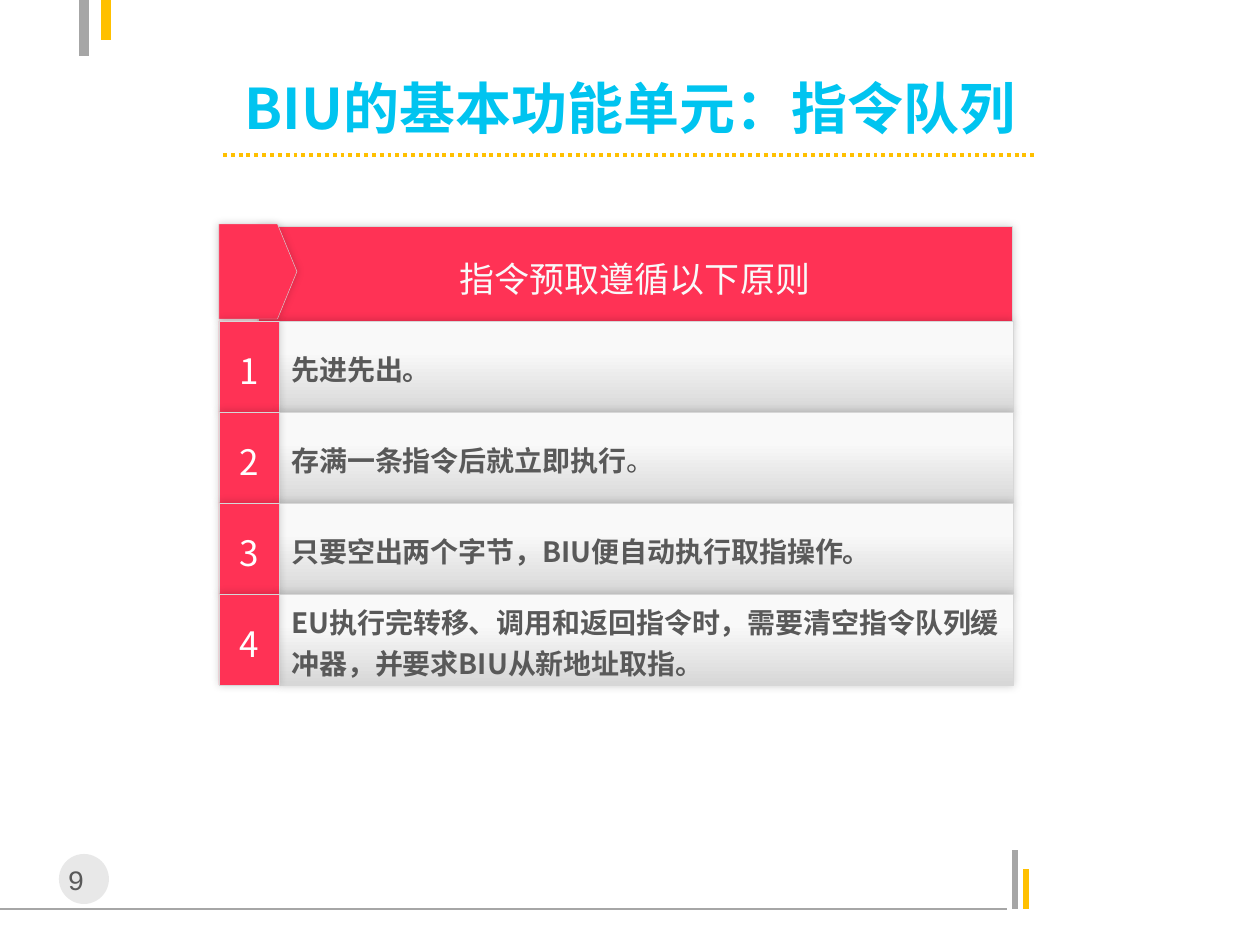
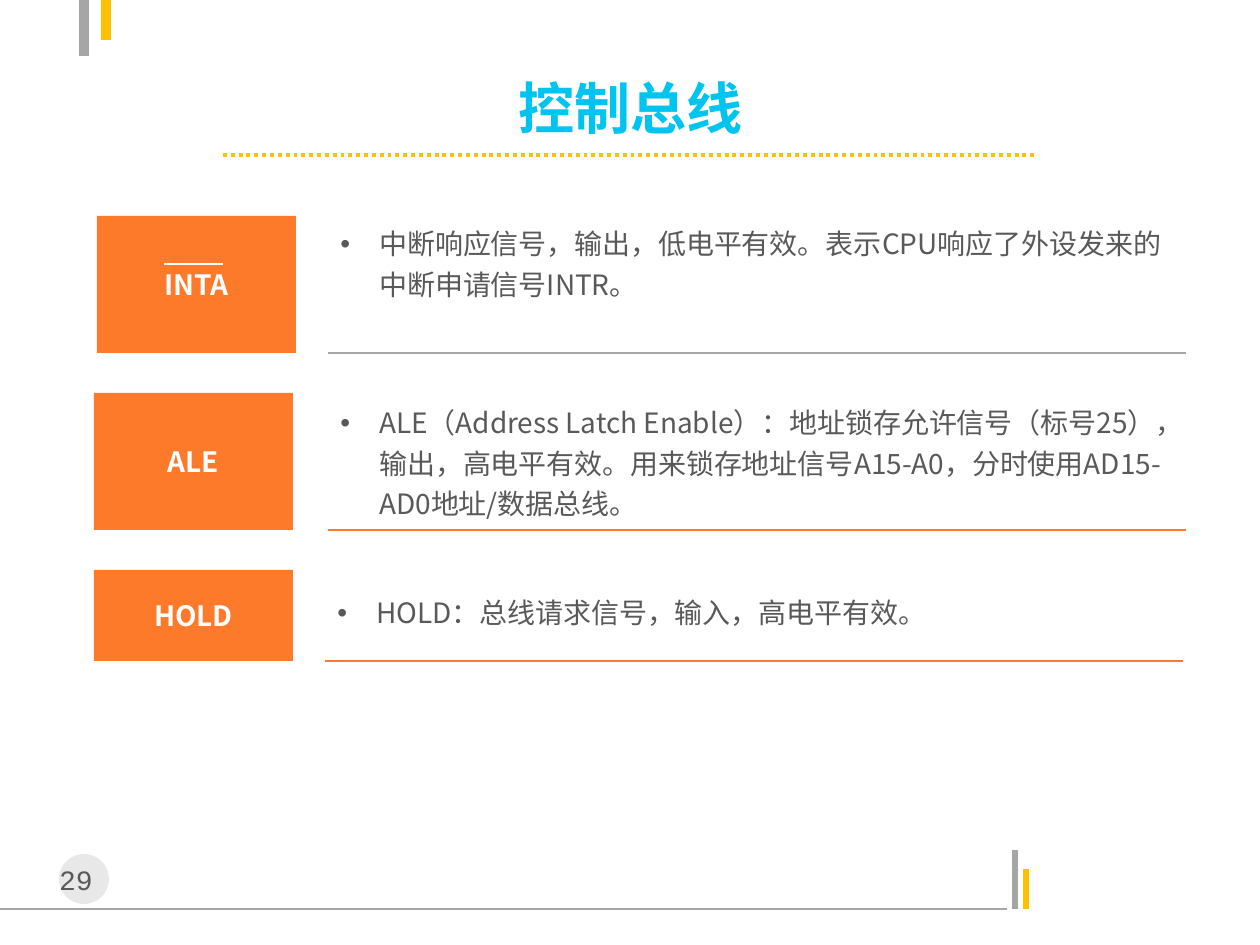
from lxml.etree import SubElement
from pptx import Presentation
from pptx.dml.color import RGBColor
from pptx.enum.dml import MSO_LINE
from pptx.enum.shapes import MSO_CONNECTOR, MSO_SHAPE
from pptx.enum.text import MSO_ANCHOR, MSO_AUTO_SIZE, PP_ALIGN
from pptx.oxml.ns import qn
from pptx.util import Pt

PX = 914400 / 126
FONT = "Noto Sans CJK SC"
COLORS = dict(title="00C4F0", gold="FFC000", grey="A6A6A6", badge="BFBFBF", text="595959",
              stop="4D4D4D", red="FF3255", orange="FD7A2A", pale="F9F9F9", edge="D7D7D7",
              white="FFFFFF", black="000000")

QUEUE = dict(
    title="BIU的基本功能单元：指令队列", page="9", head="指令预取遵循以下原则",
    rules=[[("先进先出。", True)],
           [("存满一条指令后就立即执行", True), ("。", False)],
           [("只要空出两个字节，BIU便自动执行取指操作。", True)],
           [("EU执行完转移、调用和返回指令时，需要清空指令队列缓冲器，并要求BIU从新地址取指。", True)]])
BUS = dict(
    title="控制总线", page="29",
    signals=[
        dict(name="INTA", x=97, y=216, h=137, line="grey", text_x=328, text_y=214,
             text="中断响应信号，输出，低电平有效。表示CPU响应了外设发来的中断申请信号INTR。"),
        dict(name="ALE", x=94, y=393, h=137, line="orange", text_x=328, text_y=393,
             text="ALE（Address Latch Enable）：地址锁存允许信号（标号25），输出，高电平有效。"
                  "用来锁存地址信号A15-A0，分时使用AD15-AD0地址/数据总线。"),
        dict(name="HOLD", x=94, y=570, h=91, line="orange", text_x=325, text_y=583,
             text="HOLD：总线请求信号，输入，高电平有效。")])
FRAME_LINES = [((0, 909, 1007, 909), "grey", 0.75), ((1015, 909, 1015, 850), "grey", 3),
               ((1026, 909, 1026, 869), "gold", 3), ((84, 56, 84, -4), "grey", 6),
               ((106, 0, 106, 40), "gold", 6)]


def rgb(name):
    return RGBColor.from_string(COLORS[name])


def emu(*lengths):
    return [round(n * PX) for n in lengths]


def apply(obj, **fmt):
    for key, value in fmt.items():
        setattr(obj, key, value)


def add_line(s, ends, color, width, dash=None):
    ln = s.shapes.add_connector(MSO_CONNECTOR.STRAIGHT, *emu(*ends))
    ln.line.color.rgb = rgb(color)
    apply(ln.line, width=Pt(width), dash_style=dash)
    SubElement(ln._element.spPr, qn("a:effectLst"))


def add_box(s, box, fill, kind=MSO_SHAPE.RECTANGLE, raised=False):
    sp = s.shapes.add_shape(kind, *emu(*box))
    sp.shadow.inherit = False
    if isinstance(fill, tuple):
        sp.fill.gradient()
        sp.fill.gradient_angle = 270
        for stop, (position, color) in zip(sp.fill.gradient_stops, fill):
            stop.position = position
            stop.color.rgb = rgb(color)
    else:
        sp.fill.solid()
        sp.fill.fore_color.rgb = rgb(fill)
    if raised:
        sp.line.color.rgb = rgb("edge")
        sp.line.width = Pt(0.25)
        effects = sp._element.spPr.find(qn("a:effectLst"))
        shadow = SubElement(effects, qn("a:outerShdw"), blurRad=str(Pt(5)), dist="0",
                            dir="0", algn="ctr", rotWithShape="0")
        add_alpha(SubElement(shadow, qn("a:srgbClr"), val=COLORS["black"]), 20)
    else:
        sp.line.fill.background()
    return sp


def add_alpha(color, percent):
    SubElement(color, qn("a:alpha"), val=str(percent * 1000))


def write(sp, runs, size, color, align=PP_ALIGN.CENTER, spacing=None, bullet=False,
          font=FONT, anchor=MSO_ANCHOR.MIDDLE, wrap=True):
    tf = sp.text_frame
    apply(tf, word_wrap=wrap, vertical_anchor=anchor, auto_size=MSO_AUTO_SIZE.NONE)
    p = tf.paragraphs[0]
    apply(p, alignment=align, line_spacing=spacing)
    if bullet:
        pPr = p._p.get_or_add_pPr()
        indent = emu(39)[0]
        apply_xml = dict(marL=indent, indent=-indent)
        for key, value in apply_xml.items():
            pPr.set(key, str(value))
        SubElement(pPr, qn("a:buFont"), typeface="Arial")
        SubElement(pPr, qn("a:buChar"), char="•")
    for text, bold in runs:
        r = p.add_run()
        r.text = text
        apply(r.font, name=font, size=Pt(size), bold=bold)
        r.font.color.rgb = rgb(color if bold or len(runs) == 1 else "stop")
        SubElement(r._r.get_or_add_rPr(), qn("a:ea"), typeface=font)


def add_slide(prs, content):
    s = prs.slides.add_slide(prs.slide_layouts[5])
    for ends, color, width in FRAME_LINES:
        add_line(s, ends, color, width)
    badge = add_box(s, (59, 854, 50, 50), "badge", MSO_SHAPE.OVAL)
    add_alpha(badge._element.spPr.find(".//" + qn("a:srgbClr")), 35)
    page = s.shapes.add_textbox(*emu(31, 856, 90, 46))
    write(page, [(content["page"], False)], 16, "text", font="Courier New",
          anchor=MSO_ANCHOR.TOP)
    title = s.shapes.title
    apply(title, **dict(zip(("left", "top", "width", "height"), emu(174, 76, 913, 63))))
    write(title, [(content["title"], True)], 32, "title", wrap=False)
    add_line(s, (223, 155, 1037, 155), "gold", 2.25, MSO_LINE.ROUND_DOT)
    return s


def build_queue(prs):
    s = add_slide(prs, QUEUE)
    head = add_box(s, (258, 226, 754, 96), "red", raised=True)
    write(head, [(QUEUE["head"], False)], 20, "pale", spacing=1.2)
    arrow = add_box(s, (219, 224, 78, 95), "red", MSO_SHAPE.PENTAGON, raised=True)
    arrow.adjustments[0] = 0.25
    top, pitch = 321, 91
    for i, runs in enumerate(QUEUE["rules"]):
        y = top + i * pitch
        row = add_box(s, (279, y, 734, pitch), ((0.33, "pale"), (1, "edge")), raised=True)
        write(row, runs, 16, "text", PP_ALIGN.LEFT, 1.2)
        number = add_box(s, (219, y, 60, pitch), "red", raised=True)
        write(number, [(str(i + 1), False)], 20, "white", spacing=1.2)


def build_bus(prs):
    s = add_slide(prs, BUS)
    for sig in BUS["signals"]:
        x, y, h, text_x = (sig[key] for key in ("x", "y", "h", "text_x"))
        label = add_box(s, (x, y, 199, h), "orange")
        write(label, [(sig["name"], True)], 16, "white")
        add_line(s, (text_x, y + h, text_x + 858, y + h), sig["line"], 0.75)
        note = s.shapes.add_textbox(*emu(text_x, sig["text_y"], 858, h - 3))
        write(note, [(sig["text"], False)], 16, "text", PP_ALIGN.LEFT, 1.2, True,
              anchor=MSO_ANCHOR.TOP)
    add_line(s, (164, 264, 223, 264), "white", 1.5)


def main():
    """Build the two slides and save them."""
    prs = Presentation()
    prs.slide_width, prs.slide_height = emu(1260, 945)
    build_queue(prs)
    build_bus(prs)
    prs.save("out.pptx")


if __name__ == "__main__":
    main()
